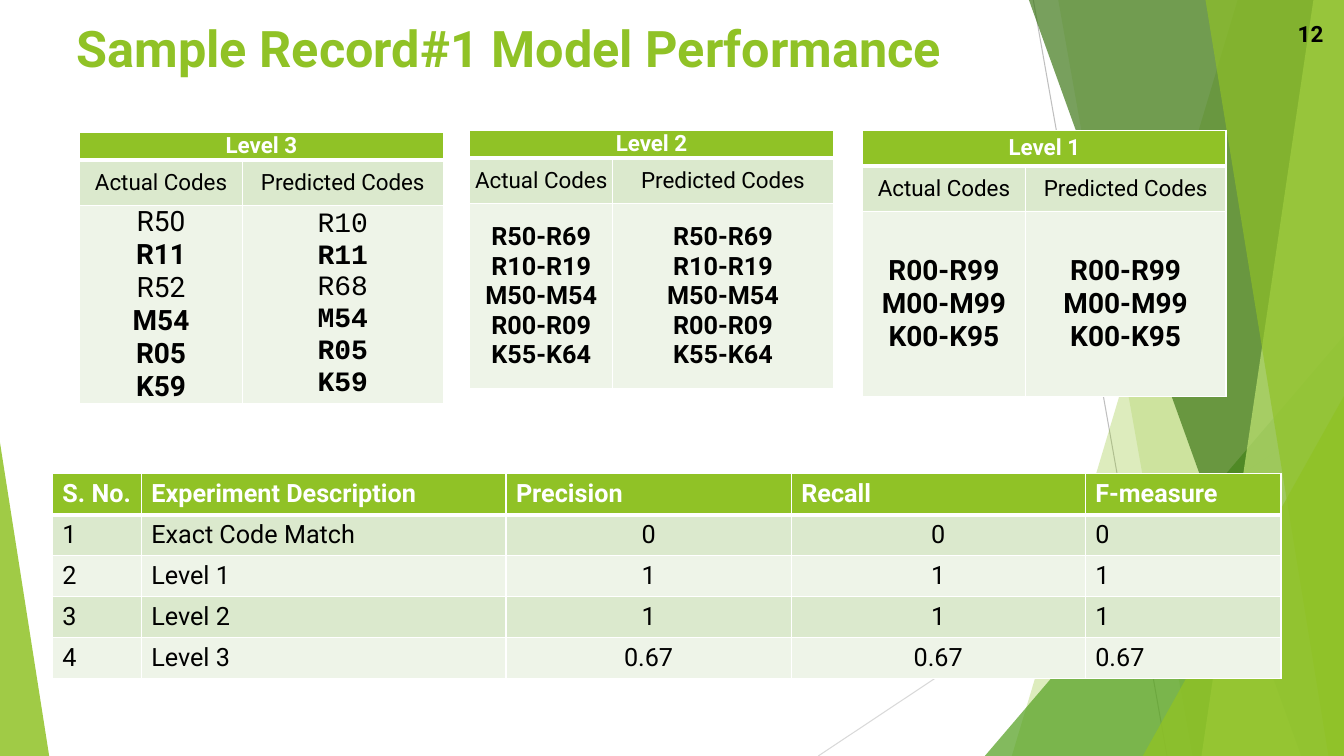
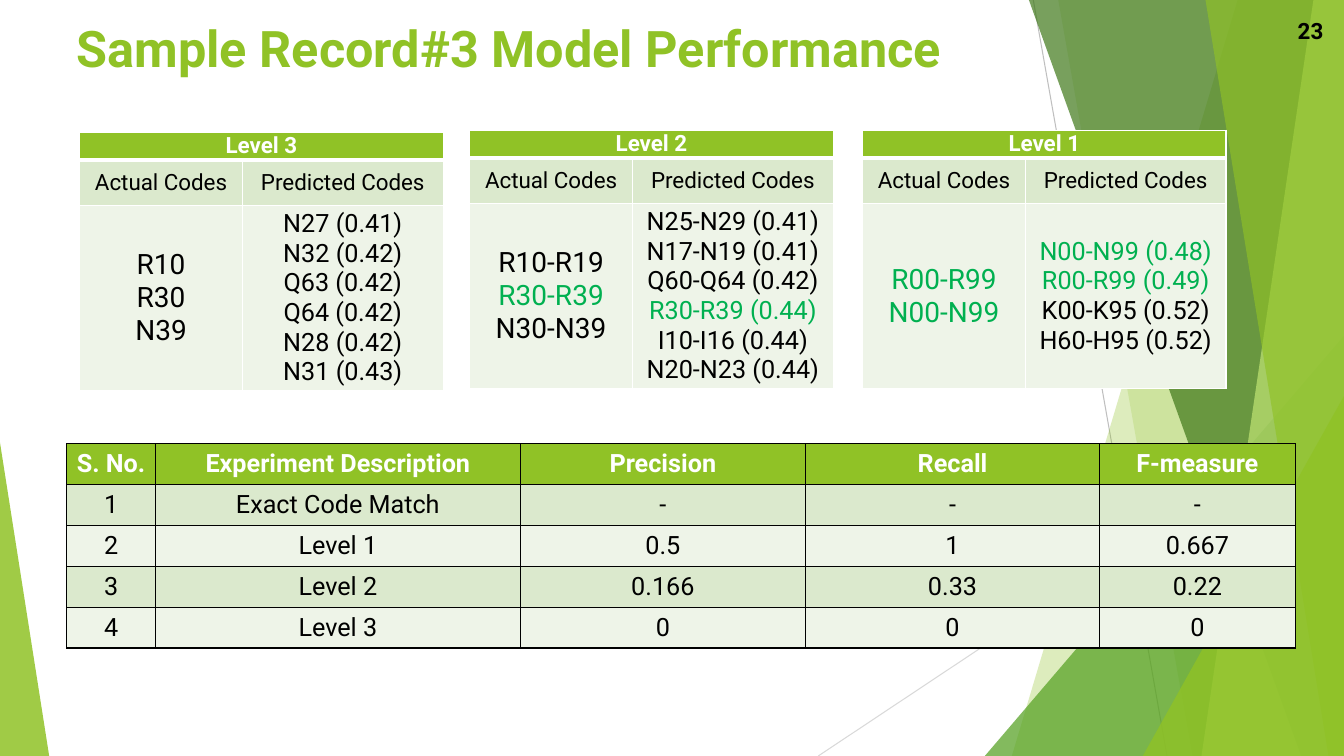
from dataclasses import dataclass
from typing import Optional

from lxml.etree import SubElement
from pptx import Presentation
from pptx.dml.color import RGBColor
from pptx.enum.shapes import MSO_CONNECTOR as Connector, MSO_SHAPE as Shape
from pptx.enum.text import MSO_ANCHOR as Anchor, PP_ALIGN as Align
from pptx.oxml.ns import qn
from pptx.util import Cm, Pt


@dataclass(frozen=True)
class Theme:
    font: str = "Roboto"
    mono: str = "Courier New"
    green: str = "90C226"
    mid_green: str = "54A021"
    dark_green: str = "3F7819"
    lime: str = "C0E474"
    match: str = "00B050"
    band_dark: str = "DBE9CD"
    band_light: str = "EEF4E8"
    white: str = "FFFFFF"
    black: str = "000000"
    title: int = 36
    large: int = 20
    body: int = 18
    small: int = 16


T = Theme()
WIDTH, HEIGHT = 33.87, 19.05


@dataclass(frozen=True)
class Ray:
    start: tuple[float, float]
    end: tuple[float, float]
    color: str


@dataclass(frozen=True)
class Blade:
    top_x: float
    bottom_x: float
    color: str
    alpha: int


@dataclass(frozen=True)
class Wedge:
    left: float
    top: float
    width: float
    apex: float
    color: str
    alpha: int


@dataclass(frozen=True)
class Style:
    size: int
    color: str = T.black
    bold: bool = False
    font: str = T.font


@dataclass(frozen=True)
class Codes:
    lines: tuple[str, ...]
    size: int = T.body
    bold: tuple[str, ...] = ()
    match: tuple[str, ...] = ()
    font: str = T.font

    def styled(self) -> list[tuple[str, Style]]:
        return [(s, Style(self.size, T.match if s in self.match else T.black,
                          s in self.bold, self.font)) for s in self.lines]


@dataclass(frozen=True)
class LevelTable:
    name: str
    left: float
    top: float
    actual: Codes
    predicted: Codes
    cols: tuple[float, float] = (4.1, 5.06)
    inset: Optional[tuple[float, float]] = (0, 0)


@dataclass(frozen=True)
class Scores:
    left: float
    top: float
    rows: tuple[tuple[str, str, str], ...]
    border: str
    centred: tuple[int, ...]


@dataclass(frozen=True)
class Record:
    number: int
    page: str
    page_top: float
    levels: tuple[LevelTable, ...]
    scores: Scores


BACKDROP = (
    Ray((26.04, 0), (29.41, HEIGHT), "BFBFBF"),
    Ray((WIDTH, 10.24), (20.62, HEIGHT), "D9D9D9"),
    Blade(31.19, 25.5, T.green, 30),
    Blade(26.67, 30.05, T.green, 20),
    Wedge(24.82, 8.46, 9.05, 1, T.mid_green, 72),
    Blade(25.93, 32.79, T.dark_green, 70),
    Blade(33.1, 30.28, T.lime, 70),
    Blade(30.38, 33.48, T.green, 65),
    Wedge(28.8, 9.98, 5.07, 1, T.green, 80),
    Wedge(0, 11.15, 1.24, 0, T.green, 85),
)

SCORE_HEADS = ("S. No.", "Experiment Description", "Precision", "Recall", "F-measure")
SCORE_COLS = (2.24, 9.19, 7.19, 7.41, 4.93)
SCORE_NAMES = ("Exact Code Match", "Level 1", "Level 2", "Level 3")
LEVEL_ROWS = (0.71, 1.14, 4.67)

BLOCKS = ("R50-R69", "R10-R19", "M50-M54", "R00-R09", "K55-K64")
CHAPTERS = ("R00-R99", "M00-M99", "K00-K95")
HITS = ("R11", "M54", "R05", "K59")

RECORDS = (
    Record(
        1, "12", 0.33,
        (
            LevelTable("Level 3", 2.01, 3.33,
                       Codes(("R50", "R11", "R52", "M54", "R05", "K59"), T.large, HITS),
                       Codes(("R10", "R11", "R68", "M54", "R05", "K59"), T.large, HITS,
                             font=T.mono)),
            LevelTable("Level 2", 11.84, 3.28, Codes(BLOCKS, bold=BLOCKS),
                       Codes(BLOCKS, bold=BLOCKS), cols=(3.6, 5.56)),
            LevelTable("Level 1", 21.74, 3.28, Codes(CHAPTERS, T.large, CHAPTERS),
                       Codes(CHAPTERS, T.large, CHAPTERS), inset=None),
        ),
        Scores(1.32, 11.94, (("0",) * 3, ("1",) * 3, ("1",) * 3, ("0.67",) * 3),
               T.white, (2, 3)),
    ),
    Record(
        3, "23", 0.25,
        (
            LevelTable("Level 3", 2.01, 3.33, Codes(("R10", "R30", "N39"), T.large),
                       Codes(("N27 (0.41)", "N32 (0.42)", "Q63 (0.42)",
                              "Q64 (0.42)", "N28 (0.42)", "N31 (0.43)"))),
            LevelTable("Level 2", 11.84, 3.28,
                       Codes(("R10-R19", "R30-R39", "N30-N39"), T.large,
                             match=("R30-R39",)),
                       Codes(("N25-N29 (0.41)", "N17-N19 (0.41)", "Q60-Q64 (0.42)",
                              "R30-R39 (0.44)", "I10-I16 (0.44)", "N20-N23 (0.44)"),
                             match=("R30-R39 (0.44)",))),
            LevelTable("Level 1", 21.74, 3.28,
                       Codes(("R00-R99", "N00-N99"), T.large,
                             match=("R00-R99", "N00-N99")),
                       Codes(("N00-N99 (0.48)", "R00-R99 (0.49)",
                              "K00-K95 (0.52)", "H60-H95 (0.52)"),
                             match=("N00-N99 (0.48)", "R00-R99 (0.49)"))),
        ),
        Scores(1.68, 11.18, (("-",) * 3, ("0.5", "1", "0.667"),
                             ("0.166", "0.33", "0.22"), ("0",) * 3),
               T.black, (0, 1, 2, 3, 4)),
    ),
)


def rgb(color: str) -> RGBColor:
    return RGBColor.from_string(color)


def write(tf, lines: list[tuple[str, Style]], align: Align) -> None:
    for i, (text, style) in enumerate(lines):
        p = tf.add_paragraph() if i else tf.paragraphs[0]
        p.alignment = align
        r = p.add_run()
        r.text = text
        r.font.name, r.font.size, r.font.bold = style.font, Pt(style.size), style.bold
        r.font.color.rgb = rgb(style.color)


def draw_ray(shapes, ray: Ray):
    line = shapes.add_connector(Connector.STRAIGHT, *map(Cm, ray.start + ray.end))
    line.line.color.rgb = rgb(ray.color)
    line.line.width = Pt(0.75)
    SubElement(line.element.spPr, qn("a:effectLst"))
    return line


def draw_facet(shapes, facet):
    if isinstance(facet, Blade):
        builder = shapes.build_freeform(Cm(facet.top_x), Cm(0))
        corners = ((WIDTH, 0), (WIDTH, HEIGHT), (facet.bottom_x, HEIGHT))
        builder.add_line_segments([(Cm(x), Cm(y)) for x, y in corners])
        sp = builder.convert_to_shape()
    else:
        sp = shapes.add_shape(Shape.ISOSCELES_TRIANGLE, Cm(facet.left), Cm(facet.top),
                              Cm(facet.width), Cm(HEIGHT - facet.top))
        sp.adjustments[0] = facet.apex
    sp.shadow.inherit = False
    sp.line.fill.background()
    sp.fill.solid()
    sp.fill.fore_color.rgb = rgb(facet.color)
    color = sp.element.spPr.find(qn("a:solidFill"))[0]
    SubElement(color, qn("a:alpha"), val=str(facet.alpha * 1000))
    return sp


def move_backdrop_to_layout(slide) -> None:
    for shape_id, item in enumerate(BACKDROP, 100):
        draw = draw_ray if isinstance(item, Ray) else draw_facet
        el = draw(slide.shapes, item).element
        el.xpath(".//p:cNvPr")[0].set("id", str(shape_id))
        slide.slide_layout.shapes.element.append(el)


def set_borders(cell, color: str, top: float, bottom: float) -> None:
    tc_pr = cell._tc.get_or_add_tcPr()
    for side, width in (("L", 1), ("R", 1), ("T", top), ("B", bottom)):
        ln = SubElement(tc_pr, qn(f"a:ln{side}"), w=str(Pt(width)))
        SubElement(SubElement(ln, qn("a:solidFill")), qn("a:srgbClr"), val=color)


def add_grid(slide, left: float, top: float, cols: tuple[float, ...],
             rows: tuple[float, ...], border: str, rule: float):
    frame = slide.shapes.add_table(len(rows), len(cols), Cm(left), Cm(top),
                                   Cm(sum(cols)), Cm(sum(rows)))
    table = frame.table
    table.first_row = table.horz_banding = False
    for col, width in zip(table.columns, cols):
        col.width = Cm(width)
    for i, (row, height) in enumerate(zip(table.rows, rows)):
        row.height = Cm(height)
        band = T.band_dark if i % 2 else T.band_light
        for cell in row.cells:
            set_borders(cell, border, rule if i == 1 else 1, 1 if i else rule)
            cell.fill.solid()
            cell.fill.fore_color.rgb = rgb(band if i else T.green)
            cell.vertical_anchor = Anchor.MIDDLE
    return table


def add_level(slide, level: LevelTable) -> None:
    table = add_grid(slide, level.left, level.top, level.cols, LEVEL_ROWS, T.white, 3)
    table.cell(0, 0).merge(table.cell(0, 1))
    if level.inset:
        for cell in table.iter_cells():
            cell.margin_left = cell.margin_right = Cm(level.inset[0])
            cell.margin_top = cell.margin_bottom = Cm(level.inset[1])
    head = Style(T.small, T.white, True)
    write(table.cell(0, 0).text_frame, [(level.name, head)], Align.CENTER)
    columns = (("Actual Codes", level.actual), ("Predicted Codes", level.predicted))
    for c, (label, codes) in enumerate(columns):
        write(table.cell(1, c).text_frame, [(label, Style(T.small))], Align.CENTER)
        write(table.cell(2, c).text_frame, codes.styled(), Align.CENTER)


def add_scores(slide, scores: Scores) -> None:
    rule = 3 if scores.border == T.white else 1
    table = add_grid(slide, scores.left, scores.top, SCORE_COLS, (1.03,) * 5,
                     scores.border, rule)
    body = [(str(n), name, *values)
            for n, (name, values) in enumerate(zip(SCORE_NAMES, scores.rows), 1)]
    head_centred = len(scores.centred) == len(SCORE_COLS)
    for i, row in enumerate([SCORE_HEADS, *body]):
        style = Style(T.body) if i else Style(T.body, T.white, True)
        for c, text in enumerate(row):
            centred = c in scores.centred if i else head_centred
            write(table.cell(i, c).text_frame, [(text, style)],
                  Align.CENTER if centred else Align.LEFT)


def add_title(slide, text: str) -> None:
    sp = slide.shapes.title
    sp.left, sp.top, sp.width, sp.height = Cm(1.68), Cm(0.3), Cm(29.21), Cm(2.08)
    sp.text_frame.vertical_anchor = Anchor.TOP
    write(sp.text_frame, [(text, Style(T.title, T.green, True))], Align.LEFT)


def add_page(slide, page: str, top: float) -> None:
    sp = slide.shapes.add_textbox(Cm(31.7), Cm(top), Cm(1.9), Cm(1.02))
    tf = sp.text_frame
    tf.word_wrap = True
    tf.vertical_anchor = Anchor.MIDDLE
    write(tf, [(page, Style(T.small, bold=True))], Align.RIGHT)


def main() -> None:
    prs = Presentation()
    prs.slide_width, prs.slide_height = Cm(WIDTH), Cm(HEIGHT)
    layout = prs.slide_layouts.get_by_name("Title Only")
    for i, record in enumerate(RECORDS):
        slide = prs.slides.add_slide(layout)
        if i == 0:
            move_backdrop_to_layout(slide)
        add_title(slide, f"Sample Record#{record.number} Model Performance")
        add_scores(slide, record.scores)
        for level in record.levels:
            add_level(slide, level)
        add_page(slide, record.page, record.page_top)
    prs.save("out.pptx")


if __name__ == "__main__":
    main()
